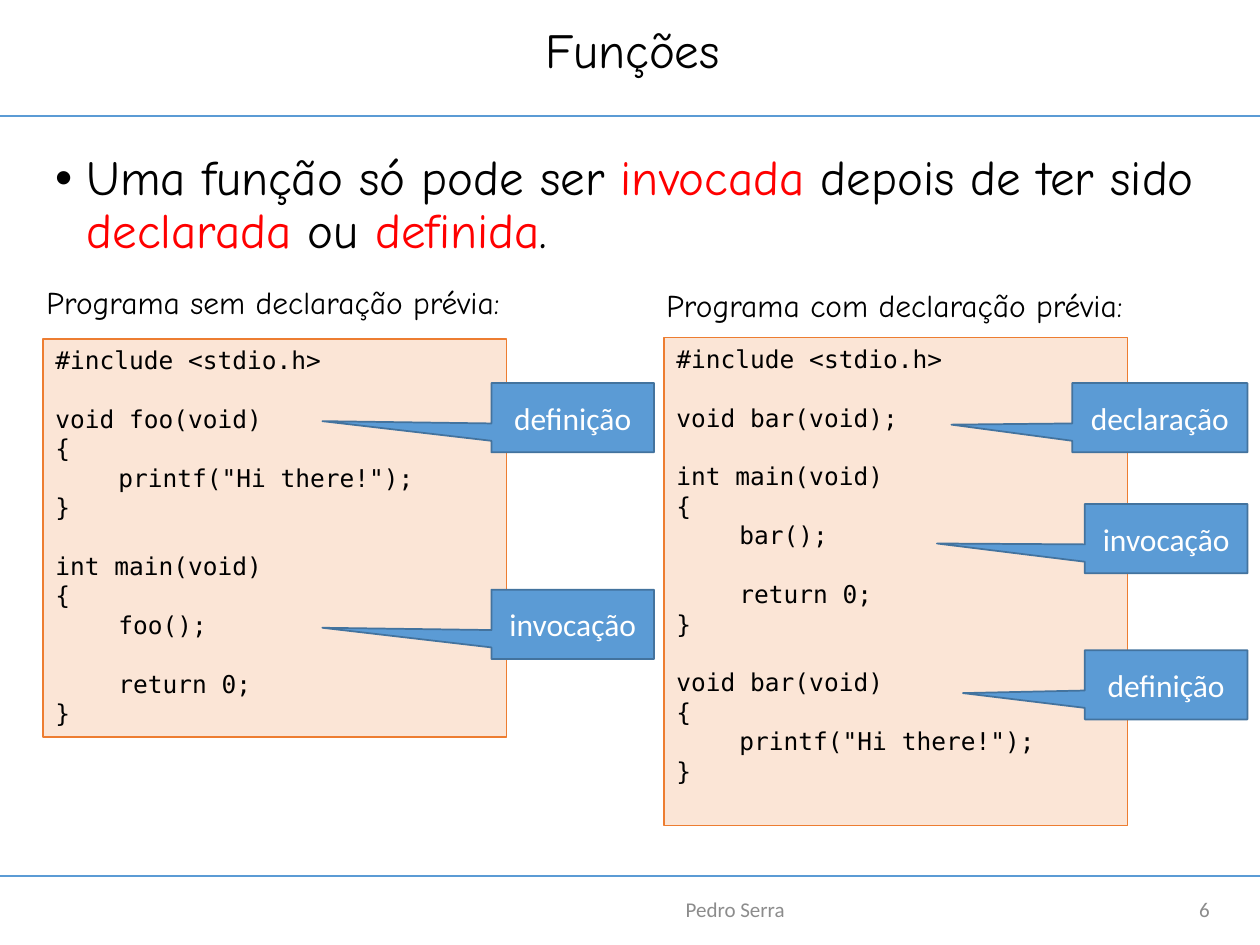
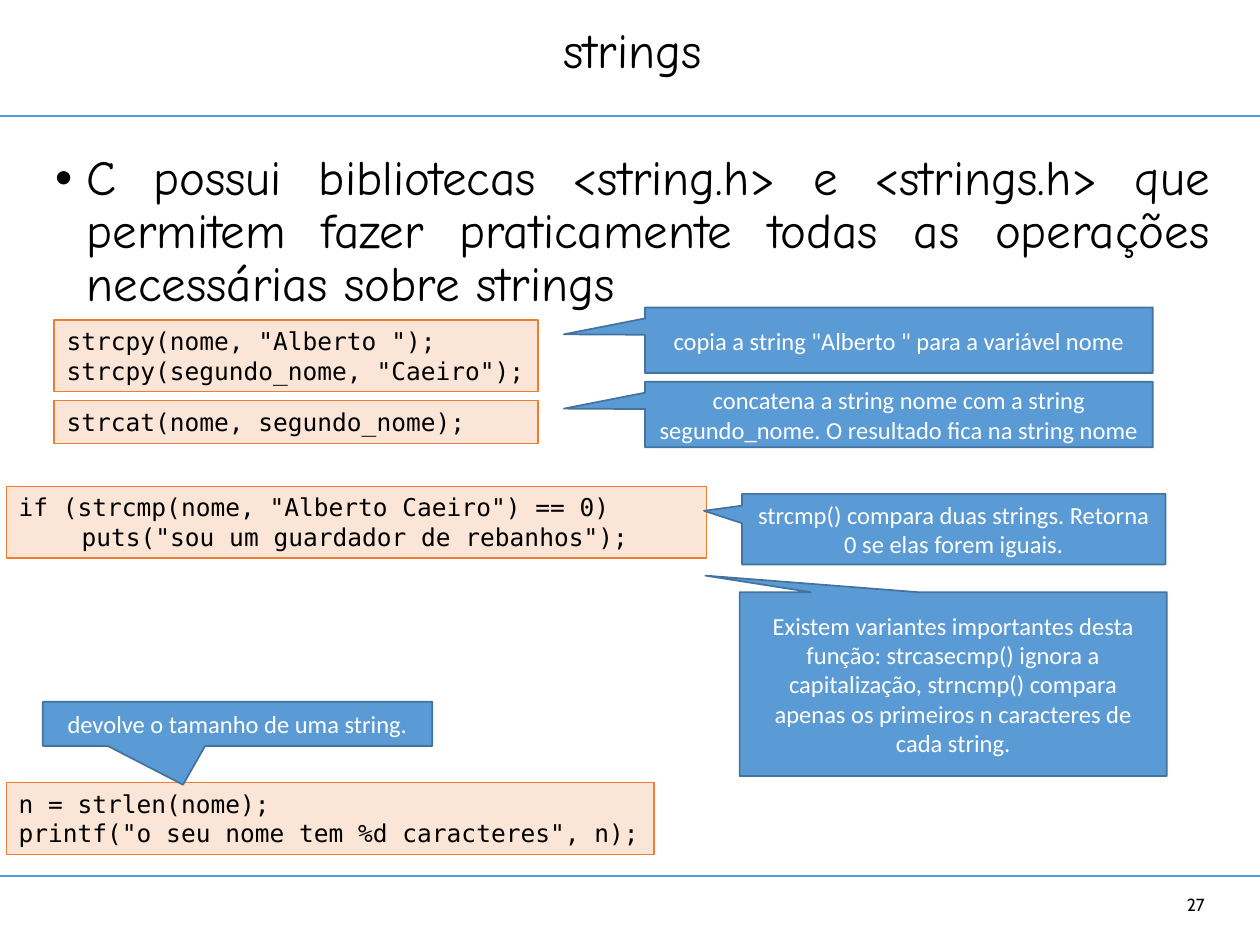
import lxml.etree
import pptx
import pptx.dml.color
import pptx.enum.shapes
import pptx.enum.text
import pptx.oxml.ns
import pptx.util

Pt = pptx.util.Pt
Color = pptx.dml.color.RGBColor
Align = pptx.enum.text.PP_ALIGN
Anchor = pptx.enum.text.MSO_ANCHOR
Shape = pptx.enum.shapes.MSO_SHAPE
qn = pptx.oxml.ns.qn

BLACK = Color(0, 0, 0)
WHITE = Color(255, 255, 255)
RED = Color(255, 0, 0)
GREY = Color(0x8C, 0x8C, 0x8C)
BLUE = Color(0x5B, 0x9B, 0xD5)
NAVY = Color(0x43, 0x73, 0x9E)
PEACH = Color(0xFB, 0xE5, 0xD6)
ORANGE = Color(0xED, 0x7D, 0x31)

HAND = "Comic Neue"
SANS = "Calibri"
MONO = "DejaVu Sans Mono"

COLS, ROWS = 100, 75
CELL = pptx.util.Inches(0.1)
EDGE, SPAN = 3.4, 93.6
RULES = (9.2, 69.5)
LINE = 16.8


def grid(*cells):
    return [round(cell * CELL) for cell in cells]


def write(shape, text, font=HAND, size=18, color=BLACK, mark=RED,
          align=Align.LEFT, anchor=Anchor.TOP, space=None, before=0):
    frame = shape.text_frame
    frame.word_wrap = True
    frame.auto_size = pptx.enum.text.MSO_AUTO_SIZE.NONE
    frame.vertical_anchor = anchor
    part = frame.paragraphs[0]
    gap = before
    for row, line in enumerate(text.split("\n")):
        if not line:
            gap += LINE
            continue
        if row:
            part = frame.add_paragraph()
        part.alignment = align
        part.space_before = Pt(gap)
        gap = before
        if space:
            part.line_spacing = space
        for turn, piece in enumerate(line.split("*")):
            if not piece:
                continue
            run = part.add_run()
            run.text = piece
            run.font.name = font
            run.font.size = Pt(size)
            run.font.color.rgb = mark if turn % 2 else color


def label(slide, place, text, **form):
    box = slide.shapes.add_textbox(*grid(*place))
    write(box, text, **form)
    return box


def bullet(slide, high, text, align=Align.LEFT):
    box = label(slide, (EDGE, 11.7, SPAN, high), text, size=28,
                align=align, space=0.9, before=10)
    for part in box.text_frame.paragraphs:
        props = part._p.get_or_add_pPr()
        props.set("marL", str(round(2.5 * CELL)))
        props.set("indent", str(round(-2.5 * CELL)))
        font = lxml.etree.SubElement(props, qn("a:buFont"))
        font.set("typeface", "Arial")
        lxml.etree.SubElement(props, qn("a:buChar")).set("char", "•")


def block(slide, kind, place, fill, edge, width):
    shape = slide.shapes.add_shape(kind, *grid(*place))
    shape.shadow.inherit = False
    shape.fill.solid()
    shape.fill.fore_color.rgb = fill
    shape.line.color.rgb = edge
    shape.line.width = Pt(width)
    return shape


def code(slide, place, text):
    shape = block(slide, Shape.RECTANGLE, place, PEACH, ORANGE, 0.75)
    write(shape, text, font=MONO, size=14)


def callout(slide, place, tip, text, size=18):
    shape = block(slide, Shape.RECTANGULAR_CALLOUT, place, BLUE, NAVY, 1)
    for turn, value in enumerate(tip):
        shape.adjustments[turn] = value
    write(shape, text, font=SANS, size=size, color=WHITE,
          align=Align.CENTER, anchor=Anchor.MIDDLE)


def rule(slide, row):
    line = slide.shapes.add_connector(
        pptx.enum.shapes.MSO_CONNECTOR.STRAIGHT, *grid(0, row, COLS, row))
    line.line.color.rgb = BLUE
    line.line.width = Pt(1.25)
    lxml.etree.SubElement(line._element.spPr, qn("a:effectLst"))


def start(deck, title):
    slide = deck.slides.add_slide(deck.slide_layouts[5])
    for row in RULES:
        rule(slide, row)
    head = slide.shapes.title
    head.left, head.top, head.width, head.height = grid(EDGE, 0, SPAN, 8.4)
    write(head, title, size=28, align=Align.CENTER,
          anchor=Anchor.MIDDLE, space=0.9)
    return slide


def foot(slide, place, text, align=Align.RIGHT, font=SANS, size=12,
         color=GREY):
    label(slide, place, text, align=align, font=font, size=size,
          color=color, anchor=Anchor.MIDDLE)


FOO = """#include <stdio.h>

void foo(void)
{
\tprintf("Hi there!");
}

int main(void)
{
\tfoo();

\treturn 0;
}"""

BAR = """#include <stdio.h>

void bar(void);

int main(void)
{
\tbar();

\treturn 0;
}

void bar(void)
{
\tprintf("Hi there!");
}"""


def draw_calls(deck):
    slide = start(deck, "Funções")
    bullet(slide, 9.9, "Uma função só pode ser *invocada* depois de ter sido "
                       "*declarada* ou *definida*.")
    foot(slide, (88.2, 70.8, 8.8, 2.7), "6")
    foot(slide, (29.4, 70.8, 57.9, 2.7), "Pedro Serra", align=Align.CENTER)
    label(slide, (2.7, 22, 39.9, 4), "Programa sem declaração prévia:")
    label(slide, (51.9, 22.2, 39.9, 4), "Programa com declaração prévia:")
    code(slide, (3.4, 26.9, 36.8, 31.6), FOO)
    code(slide, (52.7, 26.8, 36.8, 38.7), BAR)
    for left, top, wide, tip, text in (
            (39, 46.8, 12.9, (-1.54, 0.05), "invocação"),
            (39, 30.4, 12.9, (-1.54, 0.05), "definição"),
            (85.1, 30.4, 13.9, (-1.19, 0.1), "declaração"),
            (86.1, 51.6, 12.9, (-1.25, 0.12), "definição"),
            (86.1, 40, 12.9, (-1.41, 0.07), "invocação")):
        callout(slide, (left, top, wide, 5.5), tip, text)


def draw_strings(deck):
    slide = start(deck, "strings")
    bullet(slide, 43.7, "C possui bibliotecas <string.h> e <strings.h> que "
                        "permitem fazer praticamente todas as operações "
                        "necessárias sobre strings", align=Align.JUSTIFY)
    foot(slide, (88.6, 70.6, 8, 2.4), "27", font="Cabin", size=10,
         color=BLACK)
    for place, text in (
            ((4.3, 25.4, 38.4, 5.7),
             'strcpy(nome, "Alberto ");\nstrcpy(segundo_nome, "Caeiro");'),
            ((4.3, 31.8, 38.4, 3.4), "strcat(nome, segundo_nome);"),
            ((0.5, 38.6, 55.6, 5.7),
             'if (strcmp(nome, "Alberto Caeiro") == 0)\n'
             '\tputs("sou um guardador de rebanhos");'),
            ((0.5, 62.1, 51.4, 5.7),
             'n = strlen(nome);\n'
             'printf("o seu nome tem %d caracteres", n);')):
        code(slide, place, text)
    for place, tip, text in (
            ((51.2, 24.4, 40.3, 5.2), (-0.66, -0.09),
             'copia a string "Alberto " para a variável nome'),
            ((51.2, 30.3, 40.3, 5.2), (-0.66, -0.09),
             "concatena a string nome com a string segundo_nome. "
             "O resultado fica na string nome"),
            ((58.9, 39.2, 33.6, 5.6), (-0.59, -0.26),
             "strcmp() compara duas strings. Retorna 0 se elas forem iguais."),
            ((58.7, 47, 33.9, 14.6), (-0.58, -0.59),
             "Existem variantes importantes desta função: strcasecmp() ignora "
             "a capitalização, strncmp() compara apenas os primeiros n "
             "caracteres de cada string."),
            ((3.4, 55.7, 30.9, 3.5), (-0.14, 1.38),
             "devolve o tamanho de uma string.")):
        callout(slide, place, tip, text, size=14)


def main():
    deck = pptx.Presentation()
    deck.slide_width, deck.slide_height = grid(COLS, ROWS)
    draw_calls(deck)
    draw_strings(deck)
    deck.save("out.pptx")


if __name__ == "__main__":
    main()
